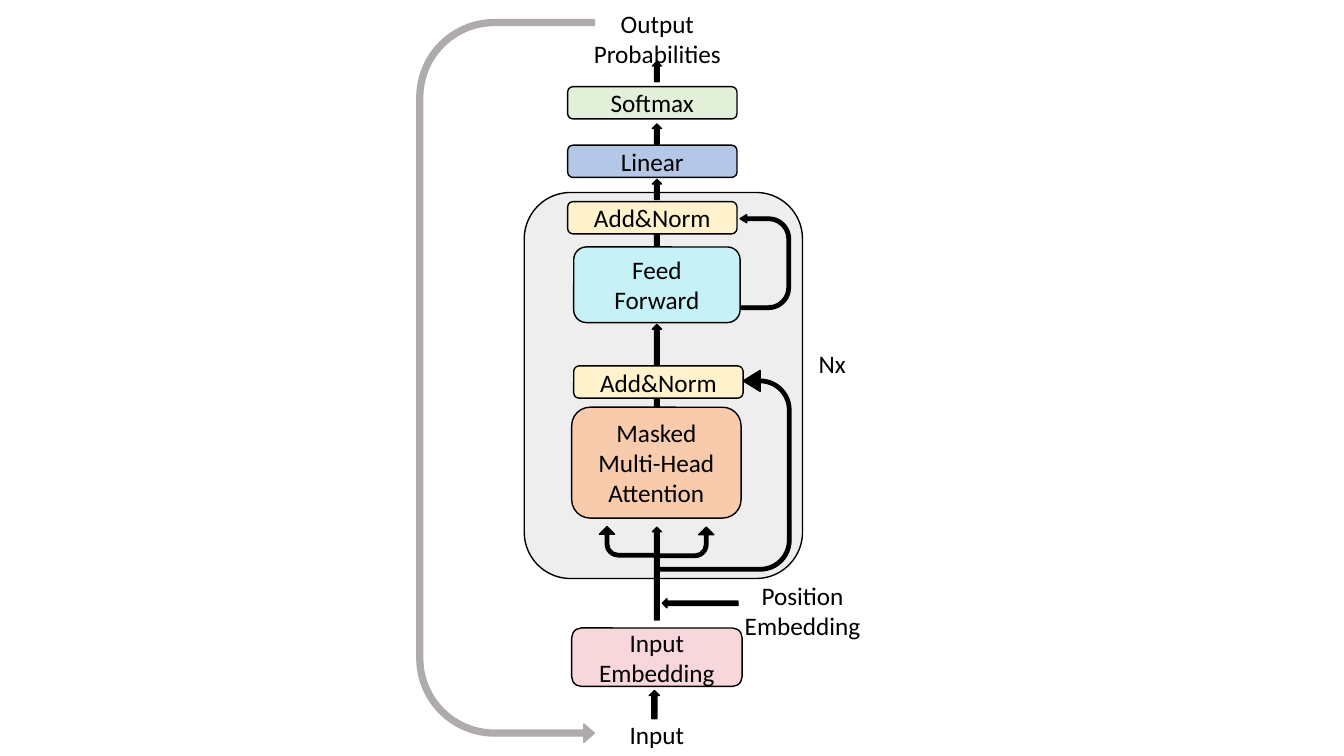
import dataclasses
import typing

import lxml.etree
import pptx
import pptx.dml.color
import pptx.enum.shapes
import pptx.enum.text
import pptx.oxml.ns
import pptx.util

Inches = pptx.util.Inches
Preset = pptx.enum.shapes.MSO_SHAPE
Anchor = pptx.enum.text.MSO_ANCHOR

COLORS = {
    "black": "000000",
    "panel": "E7E6E6",
    "pink": "F7D7DB",
    "orange": "F8CBAD",
    "yellow": "FFF2CC",
    "cyan": "C5F1F7",
    "blue": "B4C7E7",
    "green": "E2F0D9",
    "loop": "AFABAB",
}
FONT_FORMAT = {"name": "Calibri", "size": pptx.util.Pt(18)}
ARROW_LEFT, ARROW_WIDTH = 6.47, 0.09
BLOCK_WIDTH, BAR_HEIGHT = 1.68, 0.32


@dataclasses.dataclass
class Block:
    text: str
    left: float
    top: float
    color: str
    width: float = BLOCK_WIDTH
    height: float = BAR_HEIGHT


@dataclasses.dataclass
class Arrow:
    preset: typing.Any
    left: float
    top: float
    width: float
    height: float
    rotation: int = 0
    flips: tuple[str, ...] = ()
    adjustments: tuple[float, ...] = ()
    color: str = "black"


@dataclasses.dataclass
class Label:
    text: str
    left: float
    top: float
    width: float
    height: float
    wrap: bool = False


def up_arrow(top: float, height: float) -> Arrow:
    return Arrow(Preset.UP_ARROW, ARROW_LEFT, top, ARROW_WIDTH, height)


FLOW_ARROWS = [
    up_arrow(top, height)
    for top, height in (
        (0.61, 0.2), (1.23, 0.2), (1.78, 0.2), (2.27, 0.4),
        (3.22, 0.4), (3.7, 0.4), (5.23, 0.92),
    )
] + [
    Arrow(Preset.UP_ARROW, 6.44, 6.85, 0.1, 0.28),
    Arrow(Preset.LEFT_ARROW, 6.57, 5.94, 0.75, ARROW_WIDTH),
]

BEND = (0.109, 0.25, 0.25, 0.429)
TURN_ARROWS = [
    Arrow(Preset.BENT_ARROW, 6.66, 5.11, 0.3, 0.54, 90, ("flipH",), BEND),
    Arrow(Preset.BENT_ARROW, 6.08, 5.09, 0.3, 0.57, 90, ("flipH", "flipV"), BEND),
    Arrow(Preset.U_TURN_ARROW, 6.2, 4.02, 1.99, 1.3, 270, ("flipV",),
          (0.026, 0.08, 0.13, 0.438, 0.365)),
    Arrow(Preset.U_TURN_ARROW, 7.12, 2.35, 0.94, 0.5, 270, ("flipV",),
          (0.068, 0.08, 0.13, 0.438, 1)),
    Arrow(Preset.U_TURN_ARROW, 1.43, 2.9, 7.17, 1.76, 270, ("flipH",),
          (0.033, 0.052, 0.059, 0.438, 1), "loop"),
]

BLOCKS = [
    Block("Softmax", 5.63, 0.86, "green"),
    Block("Linear", 5.63, 1.44, "blue"),
    Block("Add&Norm", 5.63, 2, "yellow"),
    Block("Feed\nForward", 5.69, 2.45, "cyan", 1.65, 0.75),
    Block("Add&Norm", 5.69, 3.63, "yellow"),
    Block("Masked\nMulti-Head\nAttention", 5.67, 4.04, "orange", height=1.1),
    Block("Input\nEmbedding", 5.67, 6.23, "pink", 1.69, 0.58),
]

LABELS = [
    Label("Output\nProbabilities", 5.78, 0.03, 1.48, 0.71),
    Label("Nx", 8.02, 3.41, 0.47, 0.4),
    Label("Position\nEmbedding", 7.28, 5.71, 1.36, 0.71),
    Label("Input", 6.09, 7.09, 0.85, 0.4, True),
]


def rgb(color: str) -> pptx.dml.color.RGBColor:
    return pptx.dml.color.RGBColor.from_string(COLORS[color])


def add_outlined(page: typing.Any, preset: typing.Any, place: tuple[float, ...],
                 fill: str, line: str = "black") -> typing.Any:
    shape = page.shapes.add_shape(preset, *map(Inches, place))
    shape.shadow.inherit = False
    shape.fill.solid()
    shape.fill.fore_color.rgb = rgb(fill)
    shape.line.color.rgb = rgb(line)
    shape.line.width = pptx.util.Pt(1)
    return shape


def write_text(box: typing.Any, text: str, frame_format: dict[str, typing.Any]) -> None:
    frame = box.text_frame
    for name, value in frame_format.items():
        setattr(frame, name, value)
    frame.text = text
    for para in frame.paragraphs:
        para.alignment = pptx.enum.text.PP_ALIGN.CENTER
        for span in para.runs:
            for name, value in FONT_FORMAT.items():
                setattr(span.font, name, value)
            span.font.color.rgb = rgb("black")


def draw_panel(page: typing.Any) -> None:
    panel = add_outlined(page, Preset.ROUNDED_RECTANGLE, (5.2, 1.91, 2.76, 3.83), "panel")
    qn = pptx.oxml.ns.qn
    fill_color = panel.element.spPr.find(qn("a:solidFill")).find(qn("a:srgbClr"))
    lxml.etree.SubElement(fill_color, qn("a:alpha")).set("val", "65000")


def draw_arrow(page: typing.Any, arrow: Arrow) -> None:
    place = (arrow.left, arrow.top, arrow.width, arrow.height)
    shape = add_outlined(page, arrow.preset, place, arrow.color, arrow.color)
    shape.rotation = arrow.rotation
    for index, value in enumerate(arrow.adjustments):
        shape.adjustments[index] = value
    for flip in arrow.flips:
        shape.element.spPr.find(pptx.oxml.ns.qn("a:xfrm")).set(flip, "1")


def draw_block(page: typing.Any, block: Block) -> None:
    place = (block.left, block.top, block.width, block.height)
    box = add_outlined(page, Preset.ROUNDED_RECTANGLE, place, block.color)
    write_text(box, block.text, {"word_wrap": True, "vertical_anchor": Anchor.MIDDLE})


def draw_label(page: typing.Any, label: Label) -> None:
    place = (label.left, label.top, label.width, label.height)
    box = page.shapes.add_textbox(*map(Inches, place))
    write_text(box, label.text, {
        "word_wrap": label.wrap,
        "vertical_anchor": Anchor.TOP,
        "auto_size": pptx.enum.text.MSO_AUTO_SIZE.SHAPE_TO_FIT_TEXT,
    })


def main() -> None:
    deck = pptx.Presentation()
    deck.slide_width, deck.slide_height = Inches(13.33), Inches(7.5)
    page = deck.slides.add_slide(deck.slide_layouts[6])
    draw_panel(page)
    for arrow in FLOW_ARROWS + TURN_ARROWS:
        draw_arrow(page, arrow)
    for block in BLOCKS:
        draw_block(page, block)
    for label in LABELS:
        draw_label(page, label)
    deck.save("out.pptx")


if __name__ == "__main__":
    main()
